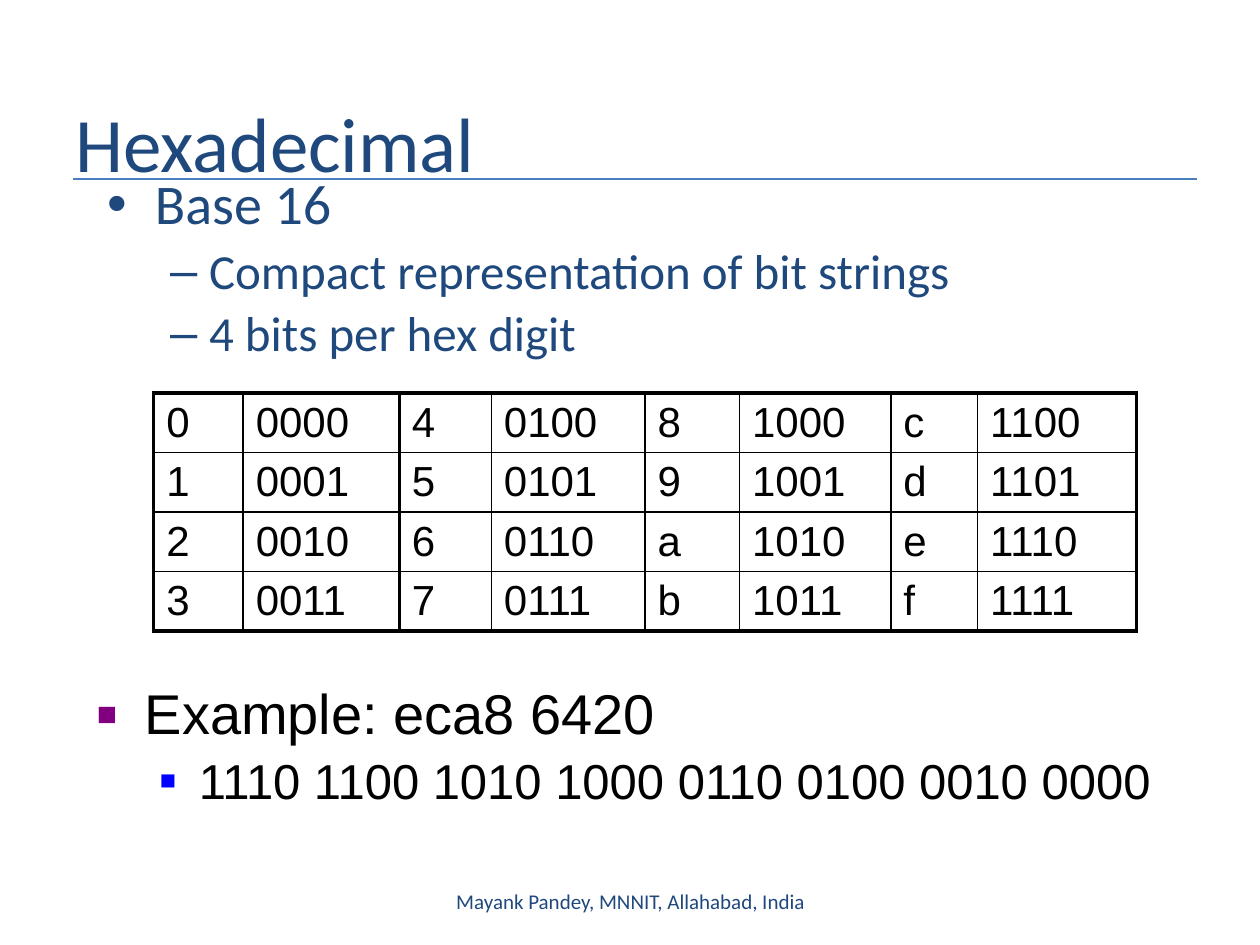
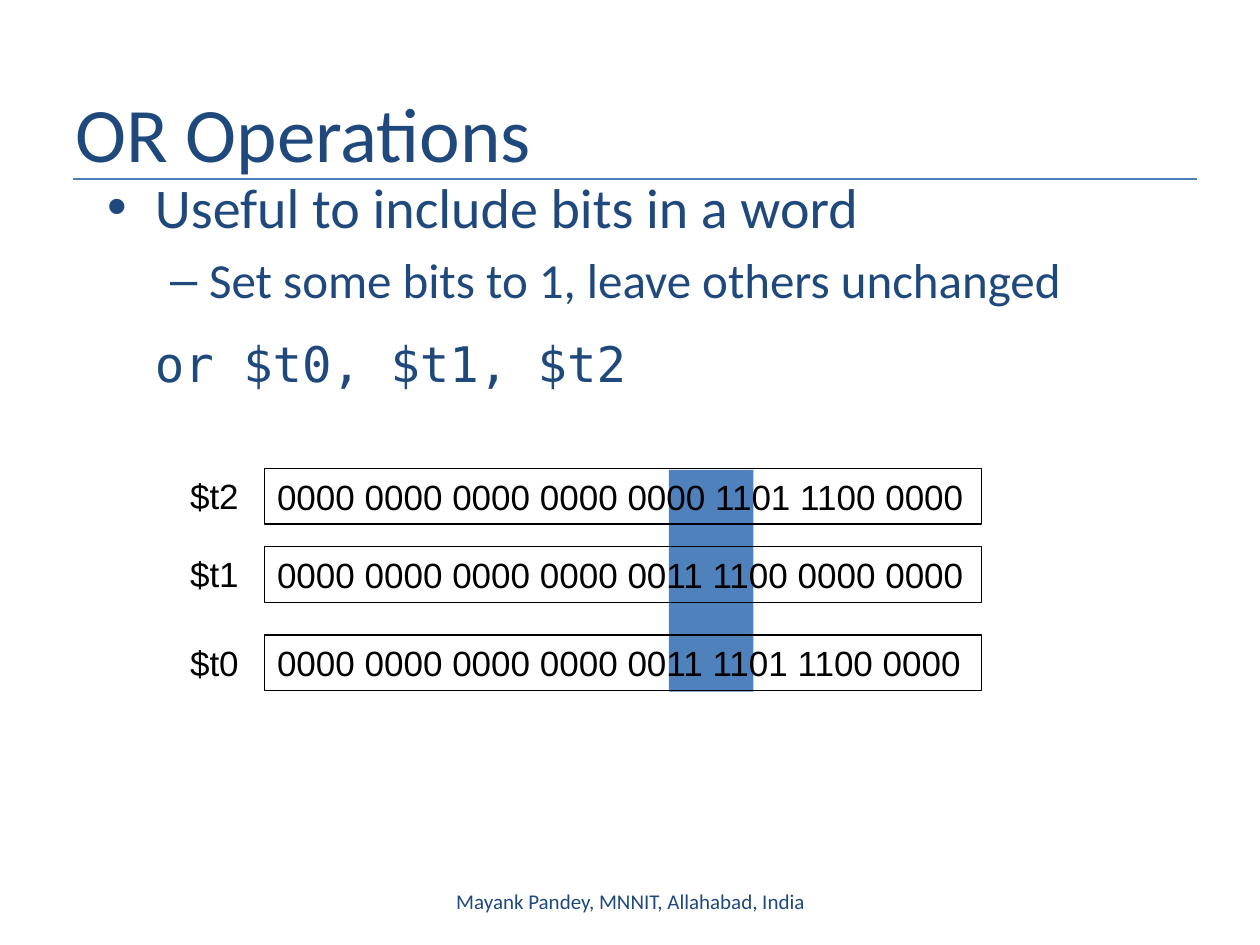
"""Build two lecture slides on hexadecimal digits and OR operations."""
from dataclasses import dataclass
from typing import Any, NamedTuple, Optional

from lxml import etree
from pptx import Presentation
from pptx.dml.color import RGBColor
from pptx.enum.shapes import MSO_CONNECTOR, MSO_SHAPE
from pptx.enum.text import MSO_ANCHOR, MSO_AUTO_SIZE, PP_ALIGN
from pptx.oxml.ns import qn
from pptx.util import Inches, Pt

LEFT, CENTER = PP_ALIGN.LEFT, PP_ALIGN.CENTER
TOP, MIDDLE = MSO_ANCHOR.TOP, MSO_ANCHOR.MIDDLE
NO_FIT = MSO_AUTO_SIZE.NONE
RECTANGLE, STRAIGHT = MSO_SHAPE.RECTANGLE, MSO_CONNECTOR.STRAIGHT

SLIDE_WIDTH, SLIDE_HEIGHT = Inches(10), Inches(7.5)
GRID_COLUMNS, GRID_ROWS = 100, 75
TITLE_AND_CONTENT = 1


@dataclass(frozen=True)
class Theme:
    """Colours, fonts and type sizes of the whole deck."""
    navy: str = "1F497D"
    black: str = "000000"
    rule: str = "4B7EBC"
    highlight: str = "4F81BD"
    purple: str = "800080"
    blue: str = "0000FF"
    main: str = "Calibri"
    plain: str = "Arial"
    code: str = "DejaVu Sans Mono"
    title_size: int = 44
    point_size: int = 32
    detail_size: int = 28
    table_size: int = 24
    bits_size: int = 20
    footer_size: int = 12
    thin: float = 0.75
    inner: float = 1
    pair: float = 1.5
    outer: float = 2.25


THEME = Theme()


class Box(NamedTuple):
    """Place on the slide in grid columns and rows."""
    left: float
    top: float
    width: float
    height: float


class Type(NamedTuple):
    """Font, size and colour of a text."""
    font: str
    size: float
    color: str


class Bullet(NamedTuple):
    """Bullet sign with optional colour and size in percent."""
    sign: str
    color: Optional[str] = None
    percent: int = 100


class Point(NamedTuple):
    """One paragraph of a list."""
    text: str
    type: Type
    level: int = 0
    bullet: Optional[Bullet] = None
    before: float = 0.2
    after: float = 0


class Register(NamedTuple):
    """Register name, its bits and the grid row it starts on."""
    name: str
    bits: str
    top: float


TITLE = Type(THEME.main, THEME.title_size, THEME.navy)
MAIN_POINT = Type(THEME.main, THEME.point_size, THEME.navy)
DETAIL = Type(THEME.main, THEME.detail_size, THEME.navy)
CODE = Type(THEME.code, THEME.detail_size, THEME.navy)
EXAMPLE = Type(THEME.plain, THEME.point_size, THEME.black)
EXAMPLE_BITS = Type(THEME.plain, THEME.detail_size, THEME.black)
TABLE_TYPE = Type(THEME.plain, THEME.table_size, THEME.black)
BITS = Type(THEME.plain, THEME.bits_size, THEME.black)
FOOTER = Type(THEME.main, THEME.footer_size, THEME.navy)

DOT, DASH = Bullet("•"), Bullet("–")
LEVEL_INDENTS = ((0.38, -0.38), (0.81, -0.31))
FOOTER_TEXT = "Mayank Pandey, MNNIT, Allahabad, India"
FOOTER_BOX = Box(34.2, 69.5, 31.7, 4)
RULE_LEFT, RULE_RIGHT, RULE_ROW = 5.8, 95, 14.2

HEX_COLUMNS = (7.1, 12.4, 7.3, 12.2, 7.5, 12, 6.9, 12.6)
HEX_ROWS = 4
HEX_ROW_HEIGHT = 4.72
HEX_BOX = Box(12.2, 31.2, sum(HEX_COLUMNS), HEX_ROWS * HEX_ROW_HEIGHT)

REGISTERS = (
    Register("$t2", "0000 0000 0000 0000 0000 1101 1100 0000", 37.2),
    Register("$t1", "0000 0000 0000 0000 0011 1100 0000 0000", 43.4),
    Register("$t0", "0000 0000 0000 0000 0011 1101 1100 0000", 50.4),
)


def across(columns: float) -> int:
    """Turn grid columns into a length."""
    return round(SLIDE_WIDTH * columns / GRID_COLUMNS)


def down(rows: float) -> int:
    """Turn grid rows into a length."""
    return round(SLIDE_HEIGHT * rows / GRID_ROWS)


def place(box: Box) -> tuple[int, int, int, int]:
    """Turn a grid box into left, top, width and height."""
    return across(box.left), down(box.top), across(box.width), down(box.height)


def apply_format(target: Any, values: dict[str, Any]) -> None:
    """Set each named attribute of the target."""
    for attribute, value in values.items():
        setattr(target, attribute, value)


def move(holder: Any, box: Box) -> None:
    """Move a placeholder to a grid box."""
    apply_format(holder, dict(zip(("left", "top", "width", "height"), place(box))))


def set_type(paragraph: Any, style: Type) -> None:
    """Give the runs of a paragraph their font, size and colour."""
    for run in paragraph.runs:
        apply_format(run.font, {"name": style.font, "size": Pt(style.size)})
        run.font.color.rgb = RGBColor.from_string(style.color)


def write(frame: Any, text: str, style: Type, align: Any = LEFT,
          anchor: Any = MIDDLE, wrap: bool = True) -> None:
    """Write a single paragraph into a text frame."""
    apply_format(frame, {"word_wrap": wrap, "auto_size": NO_FIT,
                         "vertical_anchor": anchor})
    paragraph = frame.paragraphs[0]
    apply_format(paragraph, {"text": text, "alignment": align})
    set_type(paragraph, style)


def add_bullet(paragraph: Any, point: Point) -> None:
    """Set the indent and bullet of a list paragraph."""
    properties = paragraph._p.get_or_add_pPr()
    margin, hanging = LEVEL_INDENTS[point.level]
    properties.set("marL", str(Inches(margin)))
    properties.set("indent", str(Inches(hanging) if point.bullet else 0))
    if point.bullet is None:
        etree.SubElement(properties, qn("a:buNone"))
        return
    if point.bullet.color:
        color = etree.SubElement(properties, qn("a:buClr"))
        etree.SubElement(color, qn("a:srgbClr"), val=point.bullet.color)
    etree.SubElement(properties, qn("a:buSzPct"),
                     val=str(point.bullet.percent * 1000))
    etree.SubElement(properties, qn("a:buFont"), typeface=THEME.plain)
    etree.SubElement(properties, qn("a:buChar"), char=point.bullet.sign)


def write_points(frame: Any, points: list[Point], spacing: float) -> None:
    """Write a bulleted list into a text frame."""
    apply_format(frame, {"word_wrap": True, "auto_size": NO_FIT,
                         "vertical_anchor": TOP})
    for index, point in enumerate(points):
        paragraph = frame.add_paragraph() if index else frame.paragraphs[0]
        add_bullet(paragraph, point)
        before = point.before * point.type.size if index else 0
        apply_format(paragraph, {
            "text": point.text, "level": point.level, "line_spacing": spacing,
            "space_before": Pt(before),
            "space_after": Pt(point.after * point.type.size)})
        set_type(paragraph, point.type)


def add_text(slide: Any, box: Box, text: str, style: Type,
             align: Any = LEFT, wrap: bool = True) -> None:
    """Add a text box with one line of text."""
    label = slide.shapes.add_textbox(*place(box))
    write(label.text_frame, text, style, align, wrap=wrap)


def add_lecture_slide(deck: Any, title: str, title_top: float, body: Box,
                      points: list[Point], spacing: float) -> Any:
    """Add a slide with title, rule, list and footer."""
    slide = deck.slides.add_slide(deck.slide_layouts[TITLE_AND_CONTENT])
    rule = slide.shapes.add_connector(
        STRAIGHT, across(RULE_LEFT), down(RULE_ROW), across(RULE_RIGHT), down(RULE_ROW))
    rule.line.color.rgb = RGBColor.from_string(THEME.rule)
    rule.line.width = Pt(THEME.thin)
    etree.SubElement(rule._element.spPr, qn("a:effectLst"))
    move(slide.shapes.title, Box(5, title_top, 90, 12.5))
    write(slide.shapes.title.text_frame, title, TITLE)
    content = slide.placeholders[1]
    move(content, body)
    write_points(content.text_frame, points, spacing)
    add_text(slide, FOOTER_BOX, FOOTER_TEXT, FOOTER, CENTER)
    return slide


def column_line(edge: int) -> float:
    """Return the line width at a vertical edge of the hex table."""
    if edge in (0, len(HEX_COLUMNS)):
        return THEME.outer
    return THEME.inner if edge % 2 else THEME.pair


def row_line(edge: int) -> float:
    """Return the line width at a horizontal edge of the hex table."""
    return THEME.outer if edge in (0, HEX_ROWS) else THEME.inner


def add_borders(cell: Any, row: int, column: int) -> None:
    """Draw the four borders of a hex table cell."""
    widths = {"a:lnL": column_line(column), "a:lnR": column_line(column + 1),
              "a:lnT": row_line(row), "a:lnB": row_line(row + 1)}
    properties = cell._tc.get_or_add_tcPr()
    for tag, width in widths.items():
        border = etree.SubElement(properties, qn(tag), w=str(Pt(width)))
        fill = etree.SubElement(border, qn("a:solidFill"))
        etree.SubElement(fill, qn("a:srgbClr"), val=THEME.black)


def add_hex_table(slide: Any) -> None:
    """Add the table of hex digits and their four bits."""
    table = slide.shapes.add_table(HEX_ROWS, len(HEX_COLUMNS), *place(HEX_BOX)).table
    apply_format(table, {"first_row": False, "horz_banding": False})
    for column, width in enumerate(HEX_COLUMNS):
        table.columns[column].width = across(width)
        for row in range(HEX_ROWS):
            digit = column // 2 * HEX_ROWS + row
            cell = table.cell(row, column)
            add_borders(cell, row, column)
            cell.fill.background()
            cell.text = f"{digit:04b}" if column % 2 else f"{digit:x}"
            set_type(cell.text_frame.paragraphs[0], TABLE_TYPE)


def add_rectangle(slide: Any, box: Box) -> Any:
    """Add a rectangle with no shadow, fill or line."""
    shape = slide.shapes.add_shape(RECTANGLE, *place(box))
    shape.shadow.inherit = False
    shape.fill.background()
    shape.line.fill.background()
    return shape


def add_register(slide: Any, register: Register) -> None:
    """Add a register name and its framed bits."""
    frame = add_rectangle(slide, Box(21, register.top, 56.9, 4.4))
    frame.line.color.rgb = RGBColor.from_string(THEME.black)
    frame.line.width = Pt(THEME.thin)
    write(frame.text_frame, register.bits, BITS, wrap=False)
    add_text(slide, Box(14.1, register.top, 5.9, 4.3), register.name, BITS, wrap=False)


def build_hexadecimal(deck: Any) -> None:
    """Build the slide on hexadecimal digits."""
    slide = add_lecture_slide(deck, "Hexadecimal", 5, Box(7.5, 13.5, 90.5, 17.3), [
        Point("Base 16", MAIN_POINT, 0, DOT),
        Point("Compact representation of bit strings", DETAIL, 1, DASH),
        Point("4 bits per hex digit", DETAIL, 1, DASH)], 0.9)
    add_hex_table(slide)
    example = slide.shapes.add_textbox(*place(Box(6.7, 54, 90.5, 12.6)))
    write_points(example.text_frame, [
        Point("Example: eca8 6420", EXAMPLE, 0, Bullet("■", THEME.purple, 60)),
        Point("1110 1100 1010 1000 0110 0100 0010 0000", EXAMPLE_BITS, 1,
              Bullet("■", THEME.blue, 55))], 0.9)


def build_or_operations(deck: Any) -> None:
    """Build the slide on OR operations."""
    slide = add_lecture_slide(deck, "OR Operations", 4.2, Box(7.5, 13.2, 90.5, 22.7), [
        Point("Useful to include bits in a word", MAIN_POINT, 0, DOT),
        Point("Set some bits to 1, leave others unchanged", DETAIL, 1, DASH),
        Point("or $t0, $t1, $t2", CODE, before=0.5, after=0.3)], 1.0)
    highlight = add_rectangle(slide, Box(53.1, 37.3, 6.7, 17.6))
    highlight.fill.solid()
    highlight.fill.fore_color.rgb = RGBColor.from_string(THEME.highlight)
    for register in REGISTERS:
        add_register(slide, register)


def main() -> None:
    """Build and save the deck."""
    deck = Presentation()
    apply_format(deck, {"slide_width": SLIDE_WIDTH, "slide_height": SLIDE_HEIGHT})
    build_hexadecimal(deck)
    build_or_operations(deck)
    deck.save("out.pptx")


if __name__ == "__main__":
    main()
